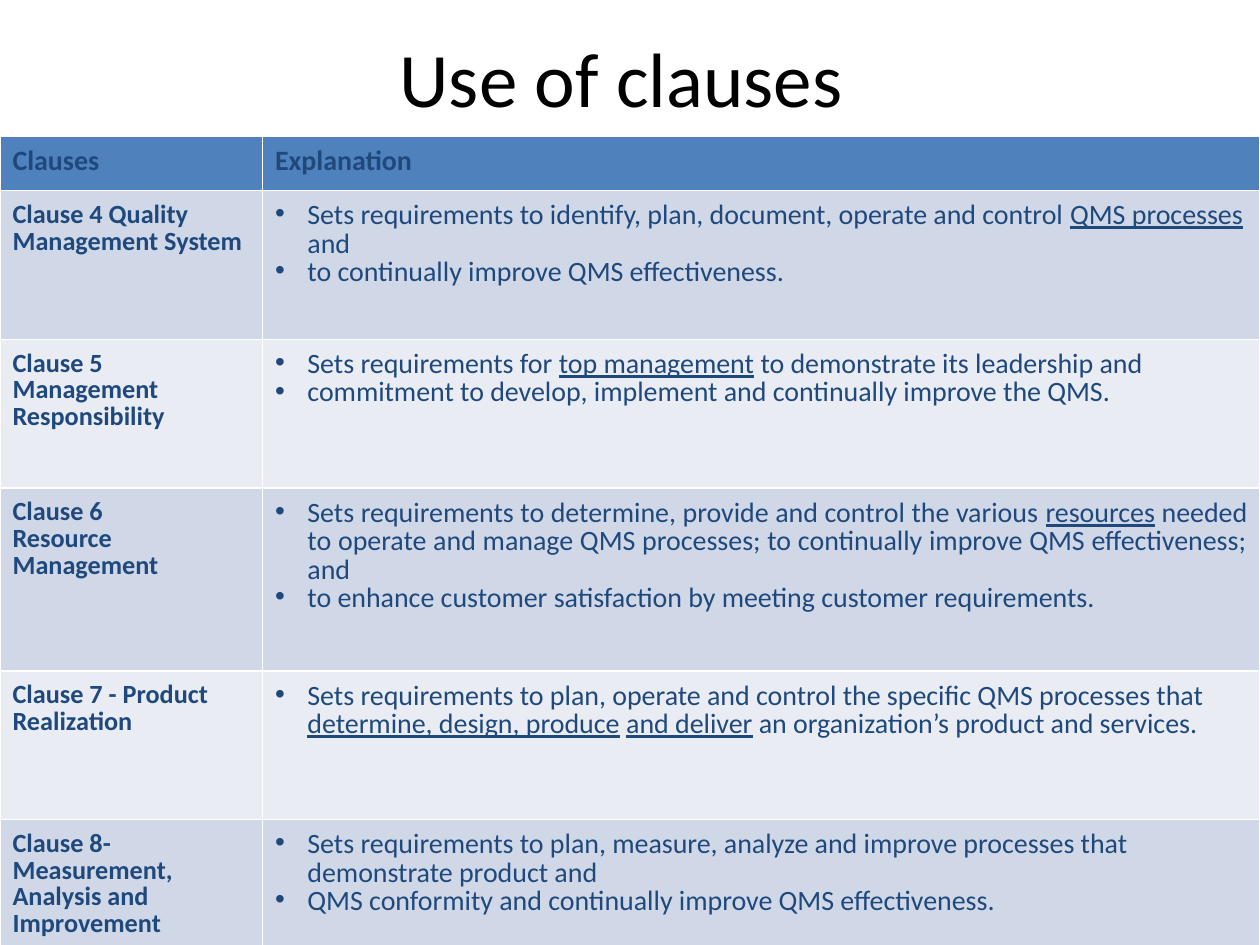
"""Build the slide that explains the use of each quality management clause."""
from lxml import etree
from pptx import Presentation
from pptx.dml.color import RGBColor
from pptx.enum import text
from pptx.oxml import ns
from pptx.util import Pt

BLACK = RGBColor(0x00, 0x00, 0x00)
WHITE = RGBColor(0xFF, 0xFF, 0xFF)
NAVY = RGBColor(0x1F, 0x49, 0x7D)
HEADER_BLUE = RGBColor(0x4F, 0x81, 0xBD)
BANDS = (RGBColor(0xD0, 0xD8, 0xE7), RGBColor(0xE9, 0xEC, 0xF3))
FONT = "Calibri"
COLUMN_WIDTHS = (150, 570)
ROW_HEIGHTS = (31, 85, 85, 104.5, 85, 80)
LEFT, JUSTIFY = text.PP_ALIGN.LEFT, text.PP_ALIGN.JUSTIFY

# Each clause: its name, its explanation with _underlined_ words, and its alignment.
CLAUSES = (
    (("Clause 4 Quality Management System",),
     ("Sets requirements to identify, plan, document, operate and control "
      "_QMS processes_ and",
      "to continually improve QMS effectiveness."), LEFT),
    (("Clause 5", "Management Responsibility"),
     ("Sets requirements for _top management_ to demonstrate its leadership and",
      "commitment to develop, implement and continually improve the QMS."), JUSTIFY),
    (("Clause 6", "Resource Management"),
     ("Sets requirements to determine, provide and control the various _resources_ "
      "needed to operate and manage QMS processes; to continually improve QMS "
      "effectiveness; and",
      "to enhance customer satisfaction by meeting customer requirements."), JUSTIFY),
    (("Clause 7 - Product Realization",),
     ("Sets requirements to plan, operate and control the specific QMS processes that "
      "_determine, design, produce_ _and deliver_ an organization’s product and services.",),
     LEFT),
    (("Clause 8-Measurement, Analysis and Improvement",),
     ("Sets requirements to plan, measure, analyze and improve processes that "
      "demonstrate product and",
      "QMS conformity and continually improve QMS effectiveness."), LEFT),
)


def add_run(paragraph, words, size, color, bold=False, underline=False):
    """Add one formatted run to a paragraph."""
    run = paragraph.add_run()
    run.text = words
    font = run.font
    font.name, font.size, font.bold, font.underline = FONT, Pt(size), bold, underline
    font.color.rgb = color


def add_bullet(paragraph):
    """Give a paragraph a hanging round bullet."""
    properties = paragraph._p.get_or_add_pPr()
    properties.set("marL", str(Pt(18.5)))
    properties.set("indent", str(-Pt(18.5)))
    bullet_color = etree.SubElement(properties, ns.qn("a:buClr"))
    etree.SubElement(bullet_color, ns.qn("a:srgbClr"), val=str(NAVY))
    etree.SubElement(properties, ns.qn("a:buFont"), typeface="Arial")
    etree.SubElement(properties, ns.qn("a:buChar"), char="•")


def add_borders(cell):
    """Draw a thin white line on each side of a cell."""
    properties = cell._tc.get_or_add_tcPr()
    for side in ("lnL", "lnR", "lnT", "lnB"):
        line = etree.SubElement(properties, ns.qn(f"a:{side}"), w=str(Pt(0.96)))
        fill = etree.SubElement(line, ns.qn("a:solidFill"))
        etree.SubElement(fill, ns.qn("a:srgbClr"), val=str(WHITE))


def fill_cell(cell, lines, fill, size, bold=False, bulleted=False, alignment=LEFT):
    """Format a cell and write its lines, underlining the marked words."""
    add_borders(cell)
    cell.fill.solid()
    cell.fill.fore_color.rgb = fill
    cell.margin_left = cell.margin_right = Pt(7.2)
    cell.margin_top, cell.margin_bottom = Pt(6.5), Pt(3.6)
    for index, line in enumerate(lines):
        frame = cell.text_frame
        paragraph = frame.add_paragraph() if index else frame.paragraphs[0]
        if bulleted:
            add_bullet(paragraph)
        paragraph.alignment = alignment
        paragraph.line_spacing = 0.83
        for part, words in enumerate(line.split("_")):
            add_run(paragraph, words, size, NAVY, bold, part % 2 == 1)


def add_title(slide):
    """Place the heading in the title placeholder."""
    heading = slide.shapes.title
    heading.left, heading.top = Pt(36), Pt(21.6)
    heading.width, heading.height = Pt(648), Pt(44.6)
    frame = heading.text_frame
    frame.auto_size = text.MSO_AUTO_SIZE.NONE
    frame.vertical_anchor = text.MSO_ANCHOR.MIDDLE
    frame.paragraphs[0].alignment = text.PP_ALIGN.CENTER
    add_run(frame.paragraphs[0], "Use of clauses ", 44, BLACK)


def add_clause_table(slide):
    """Add the table of clauses and their explanations."""
    table = slide.shapes.add_table(
        len(ROW_HEIGHTS), len(COLUMN_WIDTHS), Pt(0), Pt(78),
        Pt(sum(COLUMN_WIDTHS)), Pt(sum(ROW_HEIGHTS))).table
    for column, width in zip(table.columns, COLUMN_WIDTHS):
        column.width = Pt(width)
    for row, height in zip(table.rows, ROW_HEIGHTS):
        row.height = Pt(height)
    for column, heading in enumerate(("Clauses", "Explanation")):
        fill_cell(table.cell(0, column), (heading,), HEADER_BLUE, 16, bold=True)
    for row, (clause, explanation, alignment) in enumerate(CLAUSES, 1):
        band = BANDS[(row - 1) % 2]
        fill_cell(table.cell(row, 0), clause, band, 15, bold=True)
        fill_cell(table.cell(row, 1), explanation, band, 16,
                  bulleted=True, alignment=alignment)


def main():
    """Create and save the presentation."""
    presentation = Presentation()
    presentation.slide_width, presentation.slide_height = Pt(720), Pt(540)
    slide = presentation.slides.add_slide(presentation.slide_layouts[5])
    add_title(slide)
    add_clause_table(slide)
    presentation.save("out.pptx")


if __name__ == "__main__":
    main()
